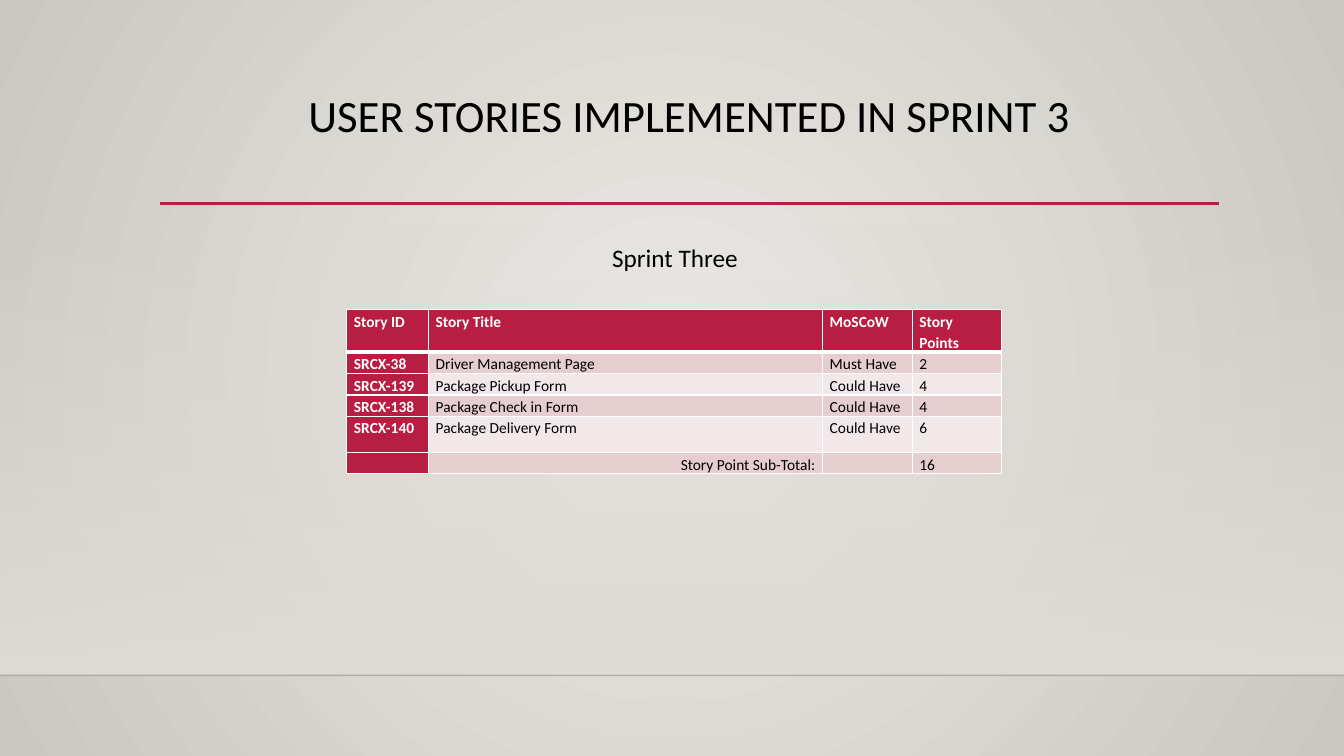
from lxml import etree
from pptx import Presentation
from pptx import util as u
from pptx.dml.color import RGBColor
from pptx.enum import shapes, text
from pptx.oxml import ns

BLACK = RGBColor(0x00, 0x00, 0x00)
WHITE = RGBColor(0xFF, 0xFF, 0xFF)
CRIMSON = RGBColor(0xB7, 0x1E, 0x42)
ROSE = RGBColor(0xE6, 0xCD, 0xCF)
PALE_ROSE = RGBColor(0xF3, 0xE8, 0xE9)
STONE_LIGHT = RGBColor(0xEC, 0xEA, 0xE7)
STONE_DARK = RGBColor(0xCA, 0xC7, 0xC1)
STONE = RGBColor(0xDF, 0xDB, 0xD5)
LEDGE = RGBColor(0x00, 0x00, 0x01)

WIDTH, HEIGHT = 33.87, 19.05
LEDGE_TOP = 17.02

HEADERS = ["Story ID", "Story Title", "MoSCoW", "Story Points"]
STORIES = [
    ["SRCX-38", "Driver Management Page", "Must Have", "2"],
    ["SRCX-139", "Package Pickup Form", "Could Have", "4"],
    ["SRCX-138", "Package Check in Form", "Could Have", "4"],
    ["SRCX-140", "Package Delivery Form", "Could Have", "6"],
]
TOTAL = ["", "Story Point Sub-Total:", "", "16"]
COLUMN_WIDTHS = [2.06, 9.93, 2.26, 2.26]
ROW_HEIGHTS = [1.07, 0.54, 0.54, 0.54, 0.91, 0.54]


def sub(parent, tag, **attrs):
    """Append a child element, named with its prefix, and return it."""
    return etree.SubElement(parent, ns.qn(tag), attrs)


def set_opacity(element, percent):
    """Give the first RGB colour inside element an opacity."""
    color = next(element.iter(ns.qn("a:srgbClr")))
    sub(color, "a:alpha", val=str(percent * 1000))


class Deck:
    """Style and current slide."""

    font = "Calibri"

    def __init__(self, prs):
        self.s = prs.slides.add_slide(prs.slide_layouts[5])

    def gradient(self, fill, *colors):
        fill.gradient()
        for position, (stop, color) in enumerate(zip(fill.gradient_stops, colors)):
            stop.color.rgb = color
            stop.position = position

    def radial_background(self, inner, outer):
        self.gradient(self.s.background.fill, inner, outer)
        grad = next(self.s.element.iter(ns.qn("a:gradFill")))
        grad.remove(grad.find(ns.qn("a:lin")))
        circle = sub(grad, "a:path", path="circle")
        sub(circle, "a:fillToRect", l="50000", t="50000", r="50000", b="50000")

    def fading_band(self, x, y, w, h, color):
        """Add a rectangle that fades in from top to bottom."""
        sp = self.s.shapes.add_shape(
            shapes.MSO_SHAPE.RECTANGLE, u.Cm(x), u.Cm(y), u.Cm(w), u.Cm(h))
        sp.shadow.inherit = False
        sp.line.fill.background()
        self.gradient(sp.fill, color, color)
        sp.fill.gradient_angle = 270
        set_opacity(sp.element, 0)

    def rule(self, x1, x2, y, color, points, opacity=100):
        line = self.s.shapes.add_connector(
            shapes.MSO_CONNECTOR.STRAIGHT, u.Cm(x1), u.Cm(y), u.Cm(x2), u.Cm(y))
        line.line.color.rgb = color
        line.line.width = u.Pt(points)
        sub(line.element.spPr, "a:effectLst")
        if opacity < 100:
            set_opacity(line.element, opacity)

    def add_words(self, p, words, size, color=BLACK, bold=False,
                  align=text.PP_ALIGN.CENTER):
        p.alignment = align
        r = p.add_run()
        r.text = words
        r.font.name, r.font.size = self.font, u.Pt(size)
        r.font.color.rgb, r.font.bold = color, bold

    def title(self, words, x, y, w, h):
        sp = self.s.shapes.title
        sp.left, sp.top, sp.width, sp.height = map(u.Cm, (x, y, w, h))
        tf = sp.text_frame
        tf.auto_size = text.MSO_AUTO_SIZE.NONE
        tf.vertical_anchor = text.MSO_ANCHOR.TOP
        p = tf.paragraphs[0]
        p.line_spacing = 0.9
        self.add_words(p, words, 32)

    def label(self, words, x, y, w, h):
        sp = self.s.shapes.add_textbox(u.Cm(x), u.Cm(y), u.Cm(w), u.Cm(h))
        tf = sp.text_frame
        tf.word_wrap = True
        tf.auto_size = text.MSO_AUTO_SIZE.SHAPE_TO_FIT_TEXT
        self.add_words(tf.paragraphs[0], words, 18)

    def borders(self, cell, top, bottom):
        """Draw white cell borders, with top and bottom widths in points."""
        tc_pr = cell._tc.get_or_add_tcPr()
        sides = {"a:lnL": 1, "a:lnR": 1, "a:lnT": top, "a:lnB": bottom}
        for i, (tag, points) in enumerate(sides.items()):
            ln = sub(tc_pr, tag, w=str(int(u.Pt(points))))
            sub(sub(ln, "a:solidFill"), "a:srgbClr", val=str(WHITE))
            tc_pr.insert(i, ln)

    def cell(self, cell, words, fill, color, bold, align):
        cell.margin_left = cell.margin_right = u.Cm(0.18)
        cell.margin_top = cell.margin_bottom = 0
        cell.fill.solid()
        cell.fill.fore_color.rgb = fill
        p = cell.text_frame.paragraphs[0]
        p.line_spacing = 1.15
        p.space_after = u.Pt(10)
        if words:
            self.add_words(p, words, 11, color, bold, align)
        else:
            sub(p._p, "a:endParaRPr", sz="1100")

    def story_table(self, rows, x, y):
        table = self.s.shapes.add_table(
            len(rows), len(COLUMN_WIDTHS), u.Cm(x), u.Cm(y),
            u.Cm(sum(COLUMN_WIDTHS)), u.Cm(sum(ROW_HEIGHTS))).table
        for column, width in zip(table.columns, COLUMN_WIDTHS):
            column.width = u.Cm(width)
        for i, (row, height) in enumerate(zip(table.rows, ROW_HEIGHTS)):
            row.height = u.Cm(height)
            for j, words in enumerate(rows[i]):
                heading = i == 0 or j == 0
                band = ROSE if i % 2 else PALE_ROSE
                align = (text.PP_ALIGN.RIGHT if words == TOTAL[1]
                         else text.PP_ALIGN.LEFT)
                cell = table.cell(i, j)
                self.cell(cell, words, CRIMSON if heading else band,
                          WHITE if heading else BLACK, heading, align)
                self.borders(cell, 3 if i == 1 else 1, 3 if i == 0 else 1)


def main():
    prs = Presentation()
    prs.slide_width, prs.slide_height = u.Cm(WIDTH), u.Cm(HEIGHT)
    deck = Deck(prs)
    deck.radial_background(STONE_LIGHT, STONE_DARK)
    deck.fading_band(0, 5.61, WIDTH, LEDGE_TOP - 5.61, STONE)
    deck.rule(0, WIDTH, LEDGE_TOP, LEDGE, 1, opacity=20)
    deck.rule(4.04, 30.73, 5.13, CRIMSON, 2.5)
    deck.title("USER STORIES IMPLEMENTED IN SPRINT 3", 4.04, 2.24, 26.67, 2.92)
    deck.label("Sprint Three", 13.39, 5.97, 7.24, 1.02)
    deck.story_table([HEADERS, *STORIES, TOTAL], 8.74, 7.8)
    prs.save("out.pptx")


if __name__ == "__main__":
    main()
